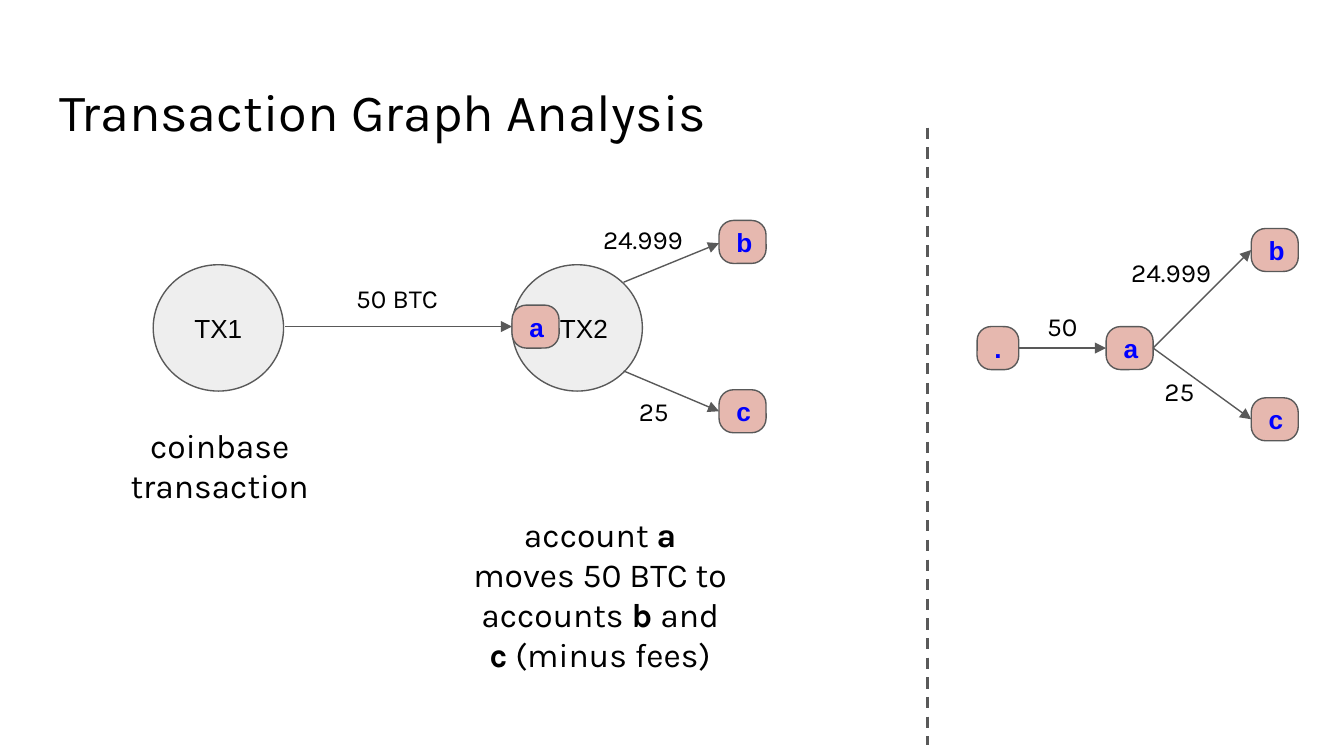
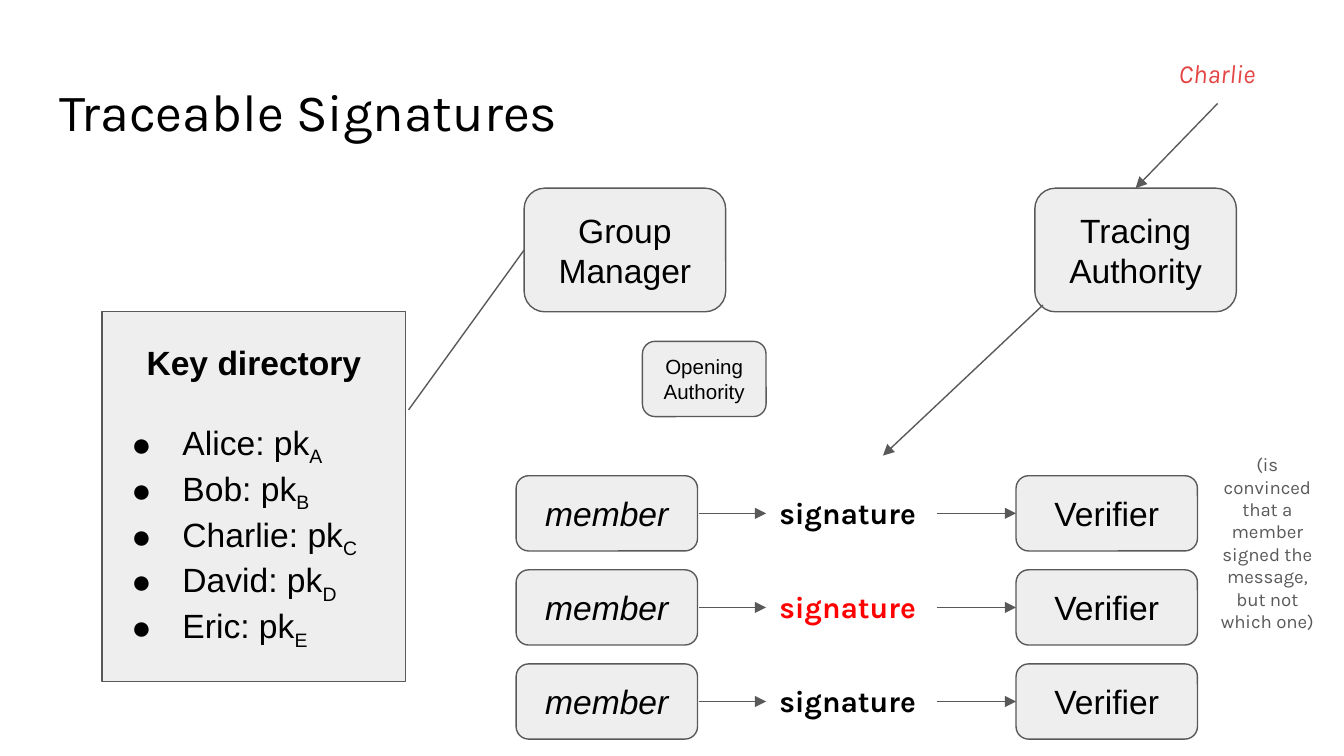
"""Build two slides on transaction graphs and traceable signatures."""
from dataclasses import dataclass, replace

from lxml import etree
from pptx import Presentation
from pptx.dml.color import RGBColor
from pptx.enum.dml import MSO_LINE
from pptx.enum.shapes import MSO_CONNECTOR, MSO_SHAPE
from pptx.enum.text import MSO_ANCHOR, MSO_AUTO_SIZE, PP_ALIGN
from pptx.oxml.ns import qn
from pptx.util import Inches, Pt

LEFT, CENTER = PP_ALIGN.LEFT, PP_ALIGN.CENTER
TOP, MIDDLE = MSO_ANCHOR.TOP, MSO_ANCHOR.MIDDLE
FIXED, GROW = MSO_AUTO_SIZE.NONE, MSO_AUTO_SIZE.SHAPE_TO_FIT_TEXT
RECT, ROUND, OVAL = MSO_SHAPE.RECTANGLE, MSO_SHAPE.ROUNDED_RECTANGLE, MSO_SHAPE.OVAL
STRAIGHT, DASH = MSO_CONNECTOR.STRAIGHT, MSO_LINE.DASH
TITLE_ONLY = 5


@dataclass(frozen=True)
class Theme:
    body: str = "Karla"
    shape: str = "Arial"
    black: str = "000000"
    gray: str = "595959"
    panel: str = "EEEEEE"
    account: str = "E6B8AF"
    blue: str = "0000FF"
    red: str = "FF0000"
    coral: str = "E44545"
    title_size: int = 28
    large: int = 18
    medium: int = 16
    small: int = 14
    tiny: int = 11
    note: int = 10
    thin: float = 0.75
    thick: float = 1.5
    inset: float = 0.1


T = Theme()


@dataclass(frozen=True)
class Style:
    size: int
    font: str = T.body
    color: str = T.black
    bold: bool = False
    italic: bool = False
    align: PP_ALIGN = CENTER


TITLE = Style(T.title_size, align=LEFT)
AMOUNT = Style(T.small)
CAPTION = Style(T.large)
SIGNATURE = Style(T.medium, bold=True, align=LEFT)
CHARLIE = Style(T.small, color=T.coral, italic=True)
NOTE = Style(T.note, color=T.gray)
TX = Style(T.small, T.shape)
ROLE = Style(T.large, T.shape)
MEMBER = replace(ROLE, italic=True)
MINOR_ROLE = Style(T.tiny, T.shape)
ACCOUNT = Style(T.small, T.shape, T.blue, bold=True, align=LEFT)


@dataclass(frozen=True)
class Box:
    x: float
    y: float
    w: float
    h: float
    text: str
    style: Style


@dataclass(frozen=True)
class Node(Box):
    kind: MSO_SHAPE = ROUND
    fill: str = T.panel
    adj: float = 0.167
    shift: float = 0


@dataclass(frozen=True)
class Line:
    x1: float
    y1: float
    x2: float
    y2: float
    arrow: bool = True
    width: float = T.thin
    dashed: bool = False


def rgb(color: str) -> RGBColor:
    return RGBColor.from_string(color)


def format_run(r, style: Style, bold: bool) -> None:
    r.font.name, r.font.size = style.font, Pt(style.size)
    r.font.bold, r.font.italic = bold, style.italic
    r.font.color.rgb = rgb(style.color)


def write(p, text: str, style: Style) -> None:
    """Write text into a paragraph; parts between asterisks are bold."""
    p.alignment = style.align
    for i, part in enumerate(text.split("*")):
        if part:
            r = p.add_run()
            r.text = part
            format_run(r, style, style.bold or i % 2 == 1)


def set_frame(tf, anchor: MSO_ANCHOR, fit: MSO_AUTO_SIZE, shift: float = 0) -> None:
    tf.word_wrap, tf.auto_size, tf.vertical_anchor = True, fit, anchor
    tf.margin_top = tf.margin_bottom = Inches(T.inset)
    tf.margin_left = Inches(T.inset + shift)
    tf.margin_right = Inches(T.inset - shift)


def add_slide(prs, title: str):
    s = prs.slides.add_slide(prs.slide_layouts[TITLE_ONLY])
    sp = s.shapes.title
    sp.left, sp.top, sp.width, sp.height = map(Inches, (0.34, 0.49, 9.32, 0.63))
    set_frame(sp.text_frame, TOP, FIXED)
    write(sp.text_frame.paragraphs[0], title, TITLE)
    return s


def add_label(s, b: Box) -> None:
    sp = s.shapes.add_textbox(*map(Inches, (b.x, b.y, b.w, b.h)))
    set_frame(sp.text_frame, TOP, GROW)
    write(sp.text_frame.paragraphs[0], b.text, b.style)


def add_node(s, n: Node):
    sp = s.shapes.add_shape(n.kind, *map(Inches, (n.x, n.y, n.w, n.h)))
    sp.shadow.inherit = False
    if n.kind == ROUND:
        sp.adjustments[0] = n.adj
    sp.fill.solid()
    sp.fill.fore_color.rgb = rgb(n.fill)
    sp.line.color.rgb, sp.line.width = rgb(T.gray), Pt(T.thin)
    set_frame(sp.text_frame, MIDDLE, FIXED, n.shift)
    write(sp.text_frame.paragraphs[0], n.text, n.style)
    return sp


def add_line(s, ln: Line) -> None:
    ends = map(Inches, (ln.x1, ln.y1, ln.x2, ln.y2))
    c = s.shapes.add_connector(STRAIGHT, *ends)
    c.line.color.rgb, c.line.width = rgb(T.gray), Pt(ln.width)
    if ln.dashed:
        c.line.dash_style = DASH
    if ln.arrow:
        etree.SubElement(c.line._get_or_add_ln(), qn("a:tailEnd"), type="triangle")
    etree.SubElement(c._element.spPr, qn("a:effectLst"))


def add_key(tf, name: str, first: bool) -> None:
    """Add one bulleted public key with a subscript initial."""
    p = tf.add_paragraph()
    if first:
        p.space_before = Pt(21)
    pPr = p._p.get_or_add_pPr()
    pPr.set("marL", str(Inches(0.5)))
    pPr.set("indent", str(Inches(-0.38)))
    clr = etree.SubElement(pPr, qn("a:buClr"))
    etree.SubElement(clr, qn("a:srgbClr"), val=T.black)
    etree.SubElement(pPr, qn("a:buFont"), typeface=T.shape)
    etree.SubElement(pPr, qn("a:buChar"), char="●")
    style = replace(ROLE, align=LEFT)
    write(p, f"{name}: pk", style)
    write(p, name[0], style)
    p.runs[-1]._r.get_or_add_rPr().set("baseline", "-25000")


def draw(s, items: list[Box | Line]) -> None:
    for item in items:
        if isinstance(item, Line):
            add_line(s, item)
        elif isinstance(item, Node):
            add_node(s, item)
        else:
            add_label(s, item)


def transaction(x: float, text: str, shift: float = 0) -> Node:
    return Node(x, 1.97, 0.97, 0.94, text, TX, OVAL, shift=shift)


def account(x: float, y: float, text: str, w: float = 0.35) -> Node:
    return Node(x, y, w, 0.32, text, ACCOUNT, ROUND, T.account, 0.335)


def amount(x: float, y: float, text: str) -> Box:
    return Box(x, y, 0.97, 0.44, text, AMOUNT)


def graph_slide(prs) -> None:
    s = add_slide(prs, "Transaction Graph Analysis")
    draw(s, [
        transaction(1.14, "TX1"),
        transaction(3.81, "TX2", shift=0.05),
        Line(2.12, 2.43, 3.81, 2.43),
        amount(2.47, 2, "50 BTC"),
        account(3.81, 2.27, "a"),
        account(5.35, 1.64, "b"),
        account(5.35, 2.9, "c"),
        Line(4.64, 2.76, 5.35, 3.06),
        Line(4.64, 2.1, 5.35, 1.81),
        amount(4.3, 1.56, "24.999"),
        amount(4.38, 2.84, "25"),
        Box(0.81, 3.06, 1.65, 0.81, "coinbase transaction", CAPTION),
        Box(3.42, 3.72, 2.09, 1.41,
            "account *a* moves 50 BTC to accounts *b* and *c* (minus fees)", CAPTION),
        Line(6.9, 0.95, 6.9, 5.54, arrow=False, width=T.thick, dashed=True),
        account(9.31, 1.7, "b"),
        account(9.31, 2.96, "c"),
        account(8.23, 2.43, "a"),
        account(7.27, 2.43, ".", w=0.31),
        Line(7.58, 2.59, 8.23, 2.59),
        Line(8.58, 2.59, 9.31, 1.86),
        Line(8.58, 2.59, 9.31, 3.12),
        amount(8.23, 1.81, "24.999"),
        amount(8.29, 2.69, "25"),
        amount(7.42, 2.21, "50"),
    ])


def signing_row(y: float, color: str) -> list[Box | Line]:
    mid = y + 0.28
    return [
        Node(3.84, y, 1.35, 0.56, "member", MEMBER),
        Box(5.7, y + 0.04, 1.27, 0.47, "signature", replace(SIGNATURE, color=color)),
        Line(5.2, mid, 5.7, mid),
        Node(7.56, y, 1.35, 0.56, "Verifier", ROLE),
        Line(6.97, mid, 7.56, mid),
    ]


def signatures_slide(prs) -> None:
    s = add_slide(prs, "Traceable Signatures")
    directory = add_node(s, Node(0.76, 2.32, 2.26, 2.75, "*Key directory*", ROLE, RECT))
    for i, name in enumerate(("Alice", "Bob", "Charlie", "David", "Eric")):
        add_key(directory.text_frame, name, i == 0)
    draw(s, [
        Node(3.9, 1.4, 1.5, 0.92, "Group Manager", ROLE),
        Line(3.04, 3.05, 3.9, 1.86, arrow=False),
        Node(7.7, 1.4, 1.5, 0.92, "Tracing Authority", ROLE),
        Line(9.06, 0.77, 8.45, 1.4),
        Box(8.45, 0.33, 1.21, 0.44, "Charlie", CHARLIE),
    ])
    for i, color in enumerate((T.black, T.red, T.black)):
        draw(s, signing_row(3.54 + 0.7 * i, color))
    draw(s, [
        Line(7.76, 2.27, 6.57, 3.39),
        Node(4.78, 2.54, 0.92, 0.56, "Opening Authority", MINOR_ROLE),
        Box(8.91, 3.27, 1.04, 1.38,
            "(is convinced that a member signed the message, but not which one)", NOTE),
    ])


def main() -> None:
    prs = Presentation()
    prs.slide_width = Inches(10)
    prs.slide_height = prs.slide_width * 9 // 16
    graph_slide(prs)
    signatures_slide(prs)
    prs.save("out.pptx")


if __name__ == "__main__":
    main()
